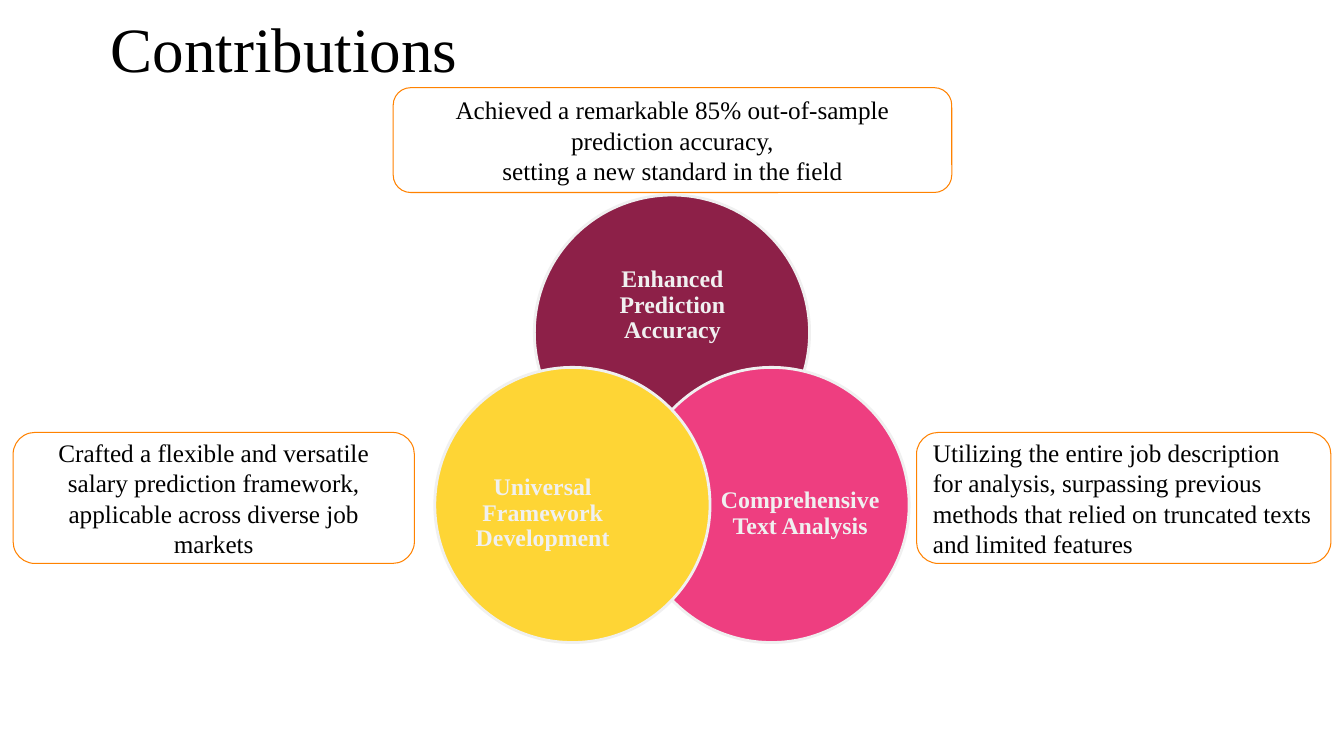
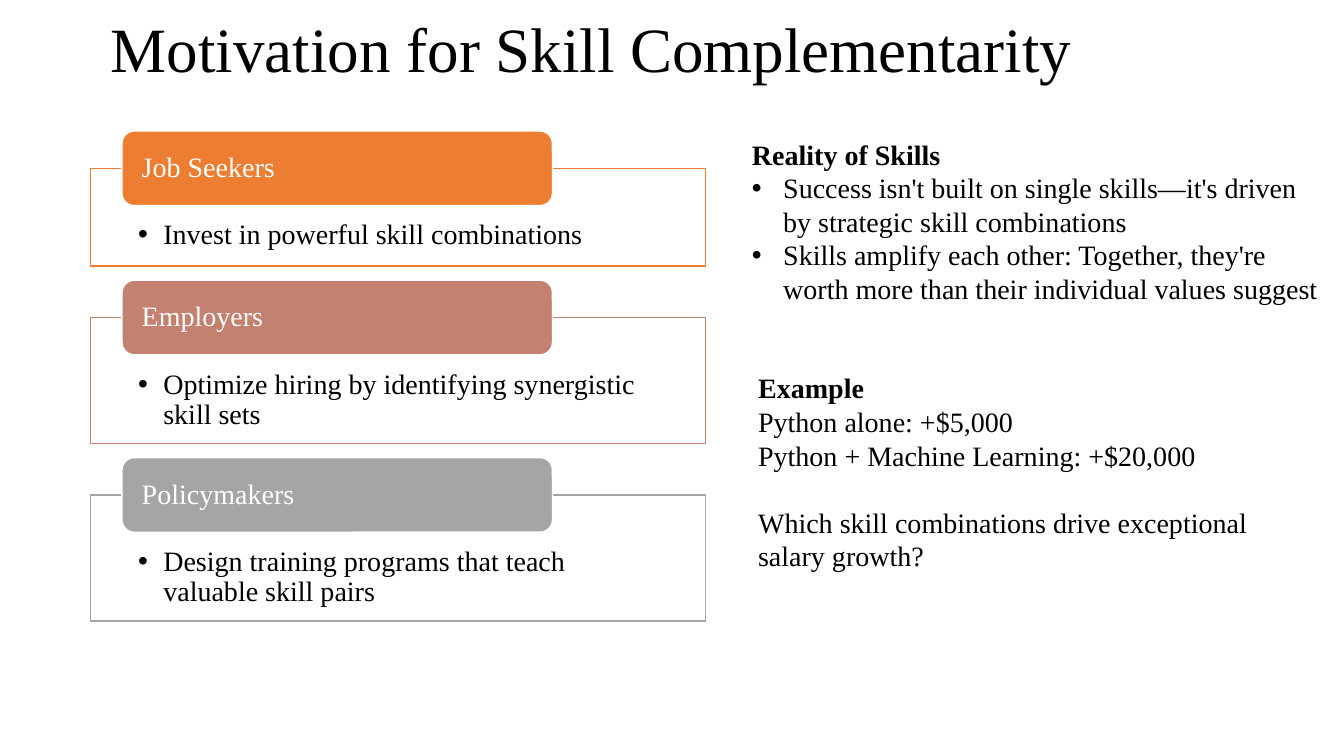
from math import cos, radians, sin

from lxml.etree import SubElement
from pptx import Presentation
from pptx.dml.color import RGBColor
from pptx.enum.shapes import MSO_SHAPE
from pptx.enum.text import MSO_ANCHOR, MSO_AUTO_SIZE, PP_ALIGN
from pptx.oxml.ns import qn
from pptx.util import Inches, Pt

FONT = "Times New Roman"
SLIDE_W, SLIDE_H = 13.33, 7.5
COLORS = {
    "ink": "000000", "white": "FFFFFF", "pale": "F0F0F0", "outline": "FF8200",
    "plum": "8D2048", "pink": "EE3E80", "yellow": "FED535",
    "orange": "ED7D31", "clay": "C48170", "gray": "A5A5A5",
}

CONTRIBUTIONS_TITLE = "Contributions"
CLAIMS = [
    (["Achieved a remarkable 85% out-of-sample prediction accuracy,",
      "setting a new standard in the field"],
     (3.9, 0.87, 5.54, 1.04), PP_ALIGN.CENTER),
    (["Utilizing the entire job description for analysis, surpassing previous "
      "methods that relied on truncated texts and limited features"],
     (9.09, 4.29, 4.11, 1.3), PP_ALIGN.LEFT),
    (["Crafted a flexible and versatile salary prediction framework, "
      "applicable across diverse job markets"],
     (0.13, 4.29, 3.98, 1.3), PP_ALIGN.CENTER),
]
VENN = [
    ("Enhanced Prediction Accuracy", "plum", -90, (0.37, 0.48, 2, 1.23)),
    ("Comprehensive Text Analysis", "pink", 30, (0.83, 0.7, 1.64, 1.5)),
    ("Universal Framework Development", "yellow", 150, (0.25, 0.7, 1.64, 1.5)),
]
VENN_CENTER_Y, VENN_RADIUS, CIRCLE = 4.44, 1.14, 2.73

MOTIVATION_TITLE = "Motivation for Skill Complementarity"
AUDIENCES = [
    ("Job Seekers", "Invest in powerful skill combinations", "orange", 0.97),
    ("Employers", "Optimize hiring by identifying synergistic skill sets", "clay", 1.25),
    ("Policymakers", "Design training programs that teach valuable skill pairs", "gray", 1.25),
]
AUDIENCE_LEFT, AUDIENCE_TOP, AUDIENCE_W, AUDIENCE_GAP = 0.9, 1.67, 6.1, 0.51
TAB_W, TAB_H = 0.7 * AUDIENCE_W, 0.74

REALITY_HEADING = "Reality of Skills"
REALITY = [
    "Success isn't built on single skills—it's driven by strategic skill combinations",
    "Skills amplify each other: Together, they're worth more than their individual values suggest",
]
EXAMPLE_HEADING = "Example"
EXAMPLE = ["Python alone: +$5,000", "Python + Machine Learning: +$20,000"]
QUESTION = "Which skill combinations drive exceptional salary growth?"


def color(name):
    return RGBColor.from_string(COLORS[name])


def inches(box):
    return [Inches(value) for value in box]


def add_panel(slide, kind, box, fill, line, width):
    panel = slide.shapes.add_shape(kind, *inches(box))
    panel.shadow.inherit = False
    if fill:
        panel.fill.solid()
        panel.fill.fore_color.rgb = color(fill)
    else:
        panel.fill.background()
    panel.line.color.rgb = color(line)
    panel.line.width = Pt(width)
    return panel


def set_frame(holder, anchor, insets=(0.1, 0.05, 0.1, 0.05)):
    frame = holder.text_frame
    frame.word_wrap = True
    frame.auto_size = MSO_AUTO_SIZE.NONE
    frame.vertical_anchor = anchor
    (frame.margin_left, frame.margin_top,
     frame.margin_right, frame.margin_bottom) = inches(insets)
    return frame


def write(frame, lines, size, ink="ink", align=PP_ALIGN.LEFT, bold=False,
          spacing=None, hang=None):
    for line in lines:
        paragraph = frame.paragraphs[0]
        if paragraph.text:
            paragraph = frame.add_paragraph()
        paragraph.text = line
        if hang:
            properties = paragraph._p.get_or_add_pPr()
            properties.set("marL", str(Inches(hang)))
            properties.set("indent", str(-Inches(hang)))
            SubElement(properties, qn("a:buFont"), typeface="Arial")
            SubElement(properties, qn("a:buChar"), char="•")
        paragraph.alignment = align
        if spacing:
            paragraph.line_spacing = spacing
        font = paragraph.font
        font.name, font.size, font.bold = FONT, Pt(size), bold
        font.color.rgb = color(ink)
    return paragraph


def add_titled_slide(deck, heading):
    slide = deck.slides.add_slide(deck.slide_layouts[5])
    title = slide.shapes.title
    title.left, title.top, title.width, title.height = inches((0, 0, SLIDE_W, 1.04))
    frame = set_frame(title, MSO_ANCHOR.MIDDLE, (1.1, 0.05, 0.1, 0.05))
    write(frame, [heading], 45, spacing=0.9)
    return slide


def add_note(slide, box):
    return set_frame(slide.shapes.add_textbox(*inches(box)), MSO_ANCHOR.TOP)


def build_contributions(deck):
    slide = add_titled_slide(deck, CONTRIBUTIONS_TITLE)
    for lines, box, align in CLAIMS:
        claim = add_panel(slide, MSO_SHAPE.ROUNDED_RECTANGLE, box, None, "outline", 0.75)
        write(set_frame(claim, MSO_ANCHOR.MIDDLE), lines, 18, align=align)
    for label, fill, angle, (dx, dy, width, height) in VENN:
        left = SLIDE_W / 2 + VENN_RADIUS * cos(radians(angle)) - CIRCLE / 2
        top = VENN_CENTER_Y + VENN_RADIUS * sin(radians(angle)) - CIRCLE / 2
        add_panel(slide, MSO_SHAPE.OVAL, (left, top, CIRCLE, CIRCLE), fill, "pale", 2)
        caption = slide.shapes.add_textbox(*inches((left + dx, top + dy, width, height)))
        write(set_frame(caption, MSO_ANCHOR.MIDDLE, (0, 0, 0, 0)), [label], 17,
              "pale", PP_ALIGN.CENTER, bold=True, spacing=0.9)


def build_motivation(deck):
    slide = add_titled_slide(deck, MOTIVATION_TITLE)
    top = AUDIENCE_TOP
    for audience, advice, accent, height in AUDIENCES:
        card = add_panel(slide, MSO_SHAPE.RECTANGLE,
                         (AUDIENCE_LEFT, top, AUDIENCE_W, height), "white", accent, 1)
        write(set_frame(card, MSO_ANCHOR.TOP, (0.47, 0.52, 0.47, 0.16)),
              [advice], 20, spacing=0.9, hang=0.25)
        tab = add_panel(slide, MSO_SHAPE.ROUNDED_RECTANGLE,
                        (AUDIENCE_LEFT + 0.31, top - TAB_H / 2, TAB_W, TAB_H),
                        accent, "white", 1)
        write(set_frame(tab, MSO_ANCHOR.MIDDLE, (0.16, 0, 0.16, 0)),
              [audience], 20, "white", spacing=0.9)
        top += height + AUDIENCE_GAP

    reality = add_note(slide, (7.36, 1.31, 5.86, 1.78))
    write(reality, [REALITY_HEADING], 20, bold=True)
    write(reality, REALITY, 20, hang=0.31)

    example = add_note(slide, (7.42, 3.63, 5.72, 2.12))
    write(example, [EXAMPLE_HEADING], 20, bold=True)
    write(example, EXAMPLE, 20)
    write(example, [QUESTION], 20).space_before = Pt(24)


def main():
    deck = Presentation()
    deck.slide_width, deck.slide_height = inches((SLIDE_W, SLIDE_H))
    build_contributions(deck)
    build_motivation(deck)
    deck.save("out.pptx")


if __name__ == "__main__":
    main()
